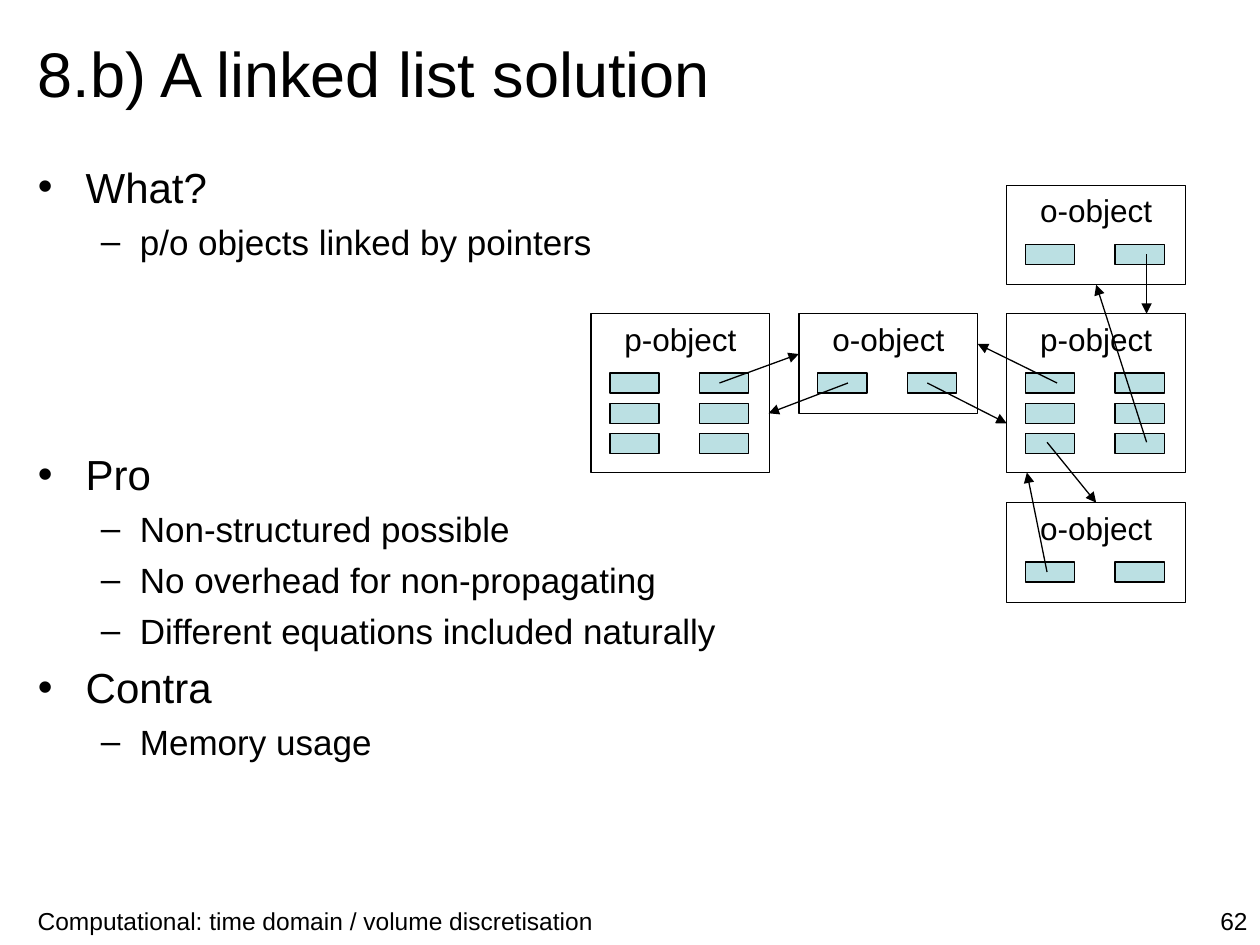
import pptx
import pptx.dml.color
import pptx.enum.shapes
import pptx.enum.text
import pptx.oxml.ns
import pptx.util
from lxml import etree
from pptx.util import Inches

BLACK = "000000"
CELL_FILL = "BBE0E3"
TOP, BOTTOM = 0, 2
ALIGN = pptx.enum.text.PP_ALIGN
ANCHOR = pptx.enum.text.MSO_ANCHOR
RECT = pptx.enum.shapes.MSO_SHAPE.RECTANGLE
STRAIGHT = pptx.enum.shapes.MSO_CONNECTOR.STRAIGHT

# (level, text, space before in points); the wide gap leaves room for the diagram
BULLETS = [
    (0, "What?", 5.9),
    (1, "p/o objects linked by pointers", 5),
    (0, "Pro", 106.5),
    (1, "Non-structured possible", 5),
    (1, "No overhead for non-propagating", 5),
    (1, "Different equations included naturally", 5),
    (0, "Contra", 5.9),
    (1, "Memory usage", 5),
]
# level: (bullet, text size, left margin, first-line indent)
LEVELS = {0: ("•", 24, 0.38, -0.38), 1: ("–", 20, 0.81, -0.31)}


def rgb(value):
    return pptx.dml.color.RGBColor.from_string(value)


def sub(parent, tag, **attrs):
    return etree.SubElement(parent, pptx.oxml.ns.qn(tag), **attrs)


def place(sp, x, y, w, h):
    sp.left, sp.top, sp.width, sp.height = (Inches(v) for v in (x, y, w, h))


def add_run(p, text, size):
    r = p.add_run()
    r.text = text
    r.font.size = pptx.util.Pt(size)
    r.font.name = "Arial"
    r.font.color.rgb = rgb(BLACK)


def fill_title(sp, text):
    place(sp, 0.2, 0, 9.8, 1.15)
    tf = sp.text_frame
    tf.vertical_anchor = ANCHOR.MIDDLE
    p = tf.paragraphs[0]
    p.alignment = ALIGN.LEFT
    add_run(p, text, 36)


def fill_body(sp):
    place(sp, 0.2, 1.23, 9.61, 5.67)
    tf = sp.text_frame
    tf.auto_size = pptx.enum.text.MSO_AUTO_SIZE.NONE
    tf.vertical_anchor = ANCHOR.TOP
    for i, (level, text, space) in enumerate(BULLETS):
        bullet, size, margin, indent = LEVELS[level]
        p = tf.add_paragraph() if i else tf.paragraphs[0]
        p.level = level
        p.space_before = pptx.util.Pt(space)
        pPr = p._p.get_or_add_pPr()
        pPr.set("marL", str(Inches(margin)))
        pPr.set("indent", str(Inches(indent)))
        sub(pPr, "a:buFont", typeface="Arial")
        sub(pPr, "a:buChar", char=bullet)
        add_run(p, text, size)


def add_footer(slide, x, w, text, alignment):
    sp = slide.shapes.add_textbox(Inches(x), Inches(7.14), Inches(w), Inches(0.36))
    tf = sp.text_frame
    tf.word_wrap = True
    p = tf.paragraphs[0]
    p.alignment = alignment
    add_run(p, text, 14)


def add_box(slide, x, y, w, h, fill=None):
    sp = slide.shapes.add_shape(RECT, Inches(x), Inches(y), Inches(w), Inches(h))
    sp.shadow.inherit = False
    if fill:
        sp.fill.solid()
        sp.fill.fore_color.rgb = rgb(fill)
    else:
        sp.fill.background()
    sp.line.color.rgb = rgb(BLACK)
    sp.line.width = pptx.util.Pt(0.75)
    return sp


def add_object(slide, label, x, y, rows):
    """Draw a labelled frame holding two columns of pointer cells."""
    frame = add_box(slide, x, y, 1.42, 1.26 if rows == 3 else 0.79)
    tf = frame.text_frame
    tf.word_wrap = False
    tf.vertical_anchor = ANCHOR.TOP
    p = tf.paragraphs[0]
    p.alignment = ALIGN.CENTER
    add_run(p, label, 18)
    for row in range(rows):
        for col in range(2):
            add_box(slide, x + 0.15 + 0.71 * col, y + 0.47 + 0.24 * row,
                    0.39, 0.16, CELL_FILL)
    return frame


def add_arrow(slide, x1, y1, x2, y2, target=None, site=None):
    c = slide.shapes.add_connector(
        STRAIGHT, Inches(x1), Inches(y1), Inches(x2), Inches(y2))
    if target is not None:
        c.end_connect(target, site)
    c.line.color.rgb = rgb(BLACK)
    c.line.width = pptx.util.Pt(0.75)
    sub(c.line._get_or_add_ln(), "a:tailEnd", type="triangle")
    sub(c._element.spPr, "a:effectLst")


def add_diagram(slide):
    left, middle, right = 4.69, 6.34, 7.99
    add_object(slide, "p-object", right, 2.49, 3)
    add_object(slide, "p-object", left, 2.49, 3)
    add_object(slide, "o-object", middle, 2.49, 1)
    lower = add_object(slide, "o-object", right, 3.99, 1)
    upper = add_object(slide, "o-object", right, 1.47, 1)

    add_arrow(slide, 5.71, 3.04, 6.34, 2.81)
    add_arrow(slide, 6.73, 3.04, 6.1, 3.28)
    add_arrow(slide, 7.36, 3.04, 7.99, 3.36)
    add_arrow(slide, 8.39, 3.04, 7.76, 2.73)
    add_arrow(slide, 8.31, 3.51, 8.7, 3.99, lower, TOP)
    add_arrow(slide, 9.1, 3.51, 8.7, 2.26, upper, BOTTOM)
    add_arrow(slide, 9.1, 2.02, 9.1, 2.49)
    add_arrow(slide, 8.31, 4.54, 8.15, 3.75)


def main():
    prs = pptx.Presentation()
    prs.slide_width, prs.slide_height = Inches(10), Inches(7.5)
    slide = prs.slides.add_slide(prs.slide_layouts[1])
    fill_title(slide.shapes.title, "8.b) A linked list solution")
    fill_body(slide.placeholders[1])
    add_footer(slide, 0.2, 7.32,
               "Computational: time domain / volume discretisation", ALIGN.LEFT)
    add_footer(slide, 7.84, 2.16, "62", ALIGN.RIGHT)
    add_diagram(slide)
    prs.save("out.pptx")


if __name__ == "__main__":
    main()
